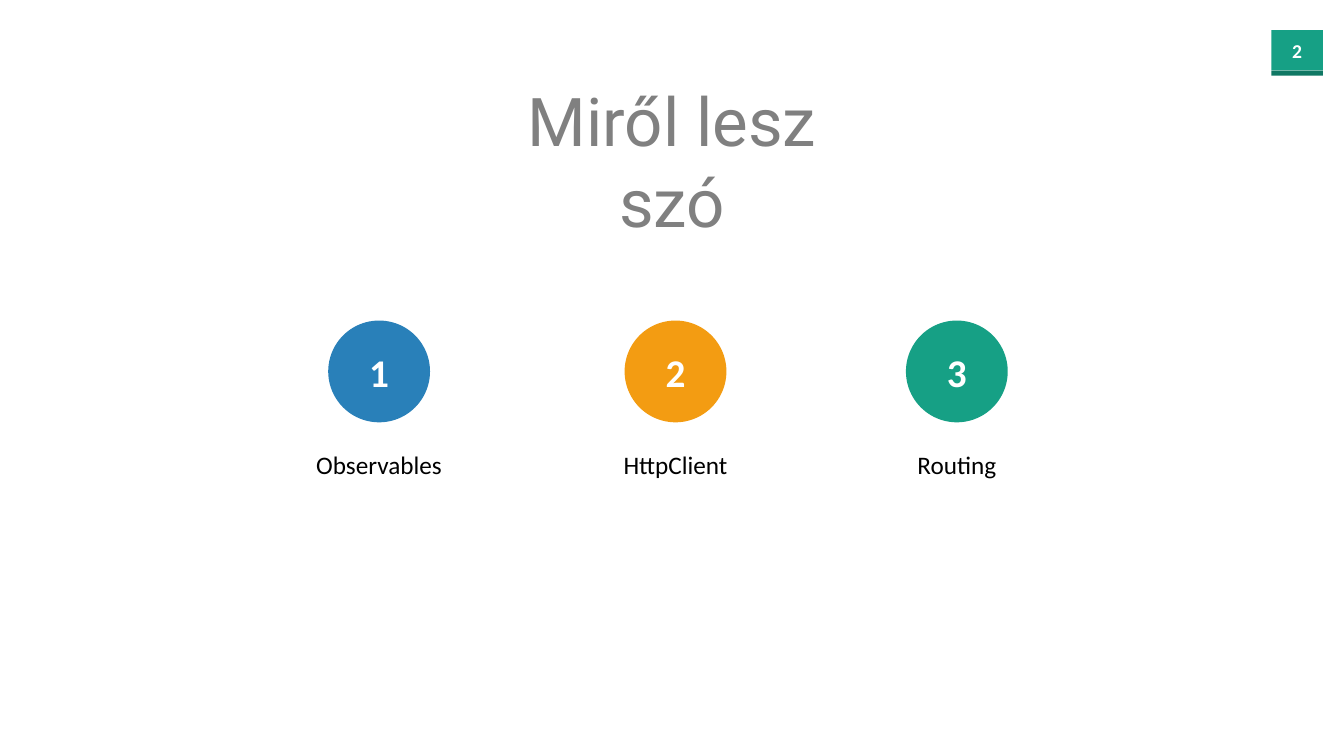
import pptx
import pptx.util
import pptx.dml.color
import pptx.enum.shapes
import pptx.enum.text

TITLE = "Miről lesz szó"
PAGE_NUMBER = "2"
# number, label, circle colour, centre of the column in inches
TOPICS = [
    ("1", "Observables", "blue", 3.76),
    ("2", "HttpClient", "orange", 6.7),
    ("3", "Routing", "green", 9.49),
]

THEME = {
    "colours": {
        "blue": "2980B9", "orange": "F39C12", "green": "16A085",
        "dark green": "107864", "grey": "808080", "white": "FFFFFF",
        "black": "000000",
    },
    "fonts": {"title": "Roboto", "body": "Calibri"},
    "sizes": {"title": 48, "number": 28, "label": 18, "page": 14},
}

WIDTH, HEIGHT = 13.33, 7.5
CIRCLE_TOP, CIRCLE_SIZE = 3.18, 1.01
LABEL_TOP, LABEL_WIDTH, LABEL_HEIGHT = 4.41, 2, 0.4
TITLE_TOP, TITLE_WIDTH, TITLE_HEIGHT = 0.74, 3.76, 1.7
TAB_LEFT, TAB_TOP, TAB_WIDTH, TAB_HEIGHT, TAB_EDGE = 12.61, 0.3, 0.51, 0.4, 0.05


def colour(name):
    """Return a theme colour."""
    return pptx.dml.color.RGBColor.from_string(THEME["colours"][name])


def write(shape, text, role, ink, bold=False, middle=True):
    """Put one centred, wrapped paragraph in a shape."""
    frame = shape.text_frame
    frame.word_wrap = True
    anchors = pptx.enum.text.MSO_ANCHOR
    frame.vertical_anchor = anchors.MIDDLE if middle else anchors.TOP
    para = frame.paragraphs[0]
    para.text = text
    para.alignment = pptx.enum.text.PP_ALIGN.CENTER
    para.font.name = THEME["fonts"]["title" if role == "title" else "body"]
    para.font.size = pptx.util.Pt(THEME["sizes"][role])
    para.font.bold = bold
    para.font.color.rgb = colour(ink)


def add_filled(page, kind, fill, *place):
    """Add a flat shape without outline; place is in inches."""
    shape = page.shapes.add_shape(kind, *map(pptx.util.Inches, place))
    shape.shadow.inherit = False
    shape.fill.solid()
    shape.fill.fore_color.rgb = colour(fill)
    shape.line.fill.background()
    return shape


def add_text(page, text, role, ink, *place):
    """Add a text box; place is in inches."""
    box = page.shapes.add_textbox(*map(pptx.util.Inches, place))
    write(box, text, role, ink, middle=False)


def add_page_tab(page):
    """Add the page number tab with its darker lower edge."""
    rectangle = pptx.enum.shapes.MSO_SHAPE.RECTANGLE
    tab = add_filled(page, rectangle, "green",
                     TAB_LEFT, TAB_TOP, TAB_WIDTH, TAB_HEIGHT)
    write(tab, PAGE_NUMBER, "page", "white", bold=True)
    add_filled(page, rectangle, "dark green",
               TAB_LEFT, TAB_TOP + TAB_HEIGHT, TAB_WIDTH, TAB_EDGE)


def add_topic(page, number, label, fill, centre):
    """Add a numbered circle with its label below."""
    circle = add_filled(page, pptx.enum.shapes.MSO_SHAPE.OVAL, fill,
                        centre - CIRCLE_SIZE / 2, CIRCLE_TOP, CIRCLE_SIZE, CIRCLE_SIZE)
    write(circle, number, "number", "white", bold=True)
    add_text(page, label, "label", "black",
             centre - LABEL_WIDTH / 2, LABEL_TOP, LABEL_WIDTH, LABEL_HEIGHT)


deck = pptx.Presentation()
deck.slide_width = pptx.util.Inches(WIDTH)
deck.slide_height = pptx.util.Inches(HEIGHT)
page = deck.slides.add_slide(deck.slide_layouts[6])

add_page_tab(page)
add_text(page, TITLE, "title", "grey",
         (WIDTH - TITLE_WIDTH) / 2, TITLE_TOP, TITLE_WIDTH, TITLE_HEIGHT)
for topic in TOPICS:
    add_topic(page, *topic)

deck.save("out.pptx")
